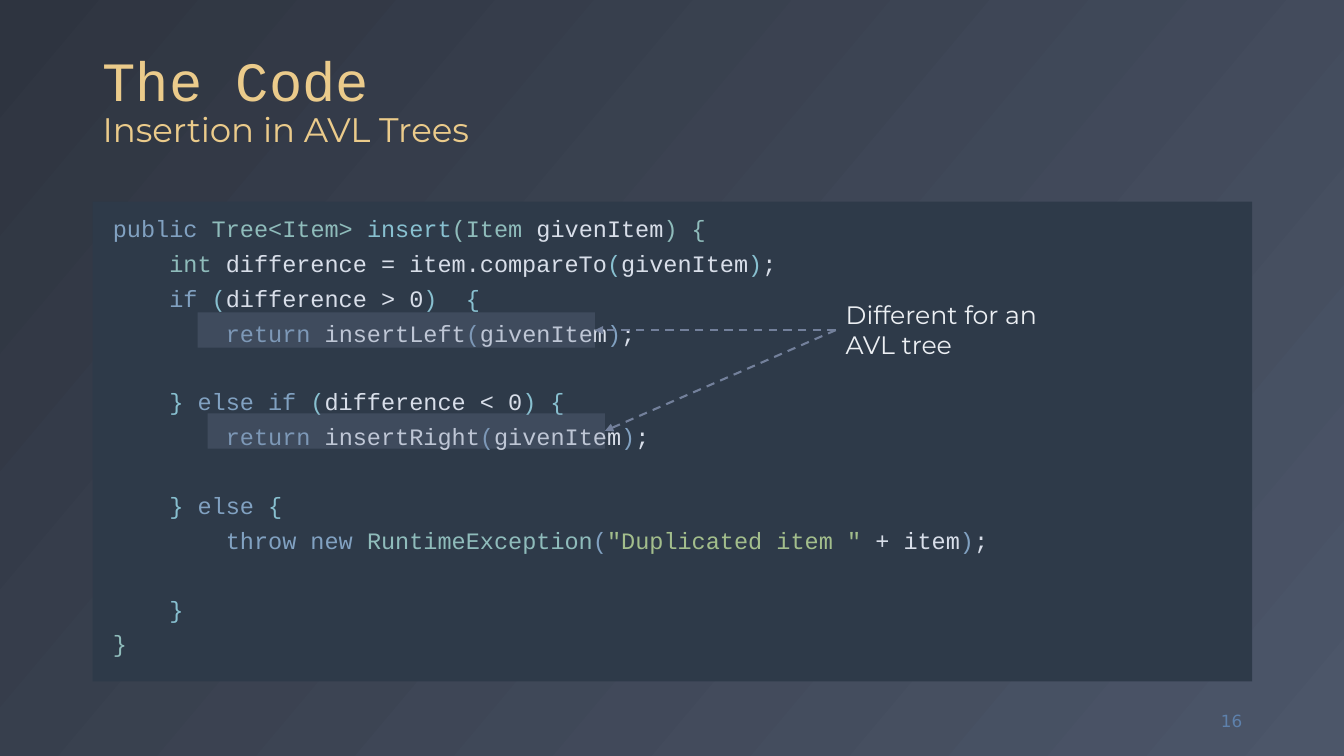
from collections import namedtuple
from lxml.etree import SubElement
from pptx import Presentation
from pptx.dml.color import RGBColor
from pptx.enum.dml import MSO_LINE
from pptx.enum.shapes import MSO_CONNECTOR, MSO_SHAPE
from pptx.enum.text import MSO_ANCHOR, PP_ALIGN
from pptx.oxml.ns import qn
from pptx.util import Inches, Pt

Box = namedtuple("Box", "left top width height")

NIGHT = RGBColor(0x2E, 0x34, 0x40)
SLATE = RGBColor(0x4C, 0x56, 0x69)
PANEL = RGBColor(0x2E, 0x3A, 0x49)
GOLD = RGBColor(0xEB, 0xCB, 0x8B)
MARK = RGBColor(0x73, 0x80, 0x9B)
WHITE = RGBColor(0xEC, 0xEF, 0xF3)
NUMBER = RGBColor(0x5E, 0x81, 0xAC)
KEYWORD = RGBColor(0x81, 0xA1, 0xC1)
TYPE = RGBColor(0x8F, 0xBC, 0xBB)
CALL = RGBColor(0x88, 0xC0, 0xD0)
PLAIN = RGBColor(0xD8, 0xDE, 0xE9)
STRING = RGBColor(0xA3, 0xBE, 0x8C)

MONO = "Courier New"
SANS = "Montserrat"
CODE_SIZE = 16.8
CODE_INDENT = 4 * 0.6 * CODE_SIZE
ROW = 1 / 3
ROW_POINTS = 24.15
CODE_GAP = 10.8

CODE = [
    (0, 0, [("public ", KEYWORD), ("Tree<Item> ", TYPE), ("insert", CALL), ("(Item ", TYPE),
            ("givenItem", PLAIN), (") {", TYPE)]),
    (1, 1, [("int ", TYPE), ("difference = item.compareTo", PLAIN), ("(", CALL),
            ("givenItem", PLAIN), (")", CALL), (";", PLAIN)]),
    (2, 1, [("if ", KEYWORD), ("(", CALL), ("difference > 0", PLAIN), (")  {", CALL)]),
    (3, 2, [("return ", KEYWORD), ("insertLeft", PLAIN), ("(", KEYWORD),
            ("givenItem", PLAIN), (")", KEYWORD), (";", PLAIN)]),
    (5, 1, [("} ", CALL), ("else if ", KEYWORD), ("(", CALL), ("difference < 0", PLAIN),
            (") {", CALL)]),
    (6, 2, [("return ", KEYWORD), ("insertRight", PLAIN), ("(", KEYWORD),
            ("givenItem", PLAIN), (")", KEYWORD), (";", PLAIN)]),
    (8, 1, [("} ", CALL), ("else ", KEYWORD), ("{", CALL)]),
    (9, 2, [("throw new ", KEYWORD), ("RuntimeException", TYPE), ("(", KEYWORD),
            ('"Duplicated item " ', STRING), ("+ item", PLAIN), (")", KEYWORD), (";", PLAIN)]),
    (11, 1, [("}", CALL)]),
    (12, 0, [("}", TYPE)]),
]


def inches(box):
    return [Inches(length) for length in box]


def write(paragraph, text, *, size, font, color, spacing=None, before=0, indent=0, align=None):
    run = paragraph.add_run()
    run.text = text
    run.font.size = Pt(size)
    run.font.name = font
    run.font.color.rgb = color
    paragraph.alignment = align or PP_ALIGN.LEFT
    paragraph.space_before = Pt(before)
    if spacing:
        paragraph.line_spacing = spacing
    if indent:
        paragraph._p.get_or_add_pPr().set("marL", str(Pt(indent)))


def text_frame(slide, box, anchor=MSO_ANCHOR.TOP):
    frame = slide.shapes.add_textbox(*inches(box)).text_frame
    frame.word_wrap = True
    frame.vertical_anchor = anchor
    return frame


def rectangle(slide, box, color, opacity=100):
    panel = slide.shapes.add_shape(MSO_SHAPE.RECTANGLE, *inches(box))
    panel.shadow.inherit = False
    panel.line.fill.background()
    panel.fill.solid()
    panel.fill.fore_color.rgb = color
    if opacity < 100:
        tint = panel.fill._xPr.find(qn("a:solidFill"))[0]
        SubElement(tint, qn("a:alpha")).set("val", str(opacity * 1000))
    return panel


def dashed_arrow(slide, start, end):
    arrow = slide.shapes.add_connector(MSO_CONNECTOR.STRAIGHT, *inches(start + end))
    arrow.line.color.rgb = MARK
    arrow.line.width = Pt(1.5)
    arrow.line.dash_style = MSO_LINE.DASH
    SubElement(arrow.line._get_or_add_ln(), qn("a:tailEnd")).set("type", "triangle")
    SubElement(arrow._element.spPr, qn("a:effectLst"))


def paint_background(slide):
    fill = slide.background.fill
    fill.gradient()
    fill.gradient_angle = 320
    for stop, color in zip(fill.gradient_stops, (NIGHT, SLATE)):
        stop.color.rgb = color


def add_heading(slide, box):
    frame = text_frame(slide, box, MSO_ANCHOR.BOTTOM)
    write(frame.paragraphs[0], "The Code", size=39.6, font=MONO, color=GOLD, spacing=0.9)
    write(frame.add_paragraph(), "Insertion in AVL Trees", size=24.3, font=SANS, color=GOLD,
          spacing=0.9)


def add_code(slide, box):
    frame = rectangle(slide, box, PANEL).text_frame
    frame.word_wrap = True
    frame.vertical_anchor = MSO_ANCHOR.TOP
    frame.margin_left = frame.margin_right = Inches(0.2)
    frame.margin_top = frame.margin_bottom = Inches(0.2)
    previous_row = 0
    for index, (row, depth, pieces) in enumerate(CODE):
        line = frame.add_paragraph() if index else frame.paragraphs[0]
        skipped = max(row - previous_row - 1, 0)
        for piece, color in pieces:
            write(line, piece, size=CODE_SIZE, font=MONO, color=color, spacing=0.7,
                  before=CODE_GAP + skipped * ROW_POINTS, indent=depth * CODE_INDENT)
        previous_row = row


def add_callout(slide, box):
    note = Box(box.left + 7.37, box.top + 0.92, 2.24, 0.71)
    write(text_frame(slide, note).paragraphs[0], "Different for an AVL tree",
          size=18, font=SANS, color=WHITE)
    source = (note.left, note.top + note.height / 2)
    for row, offset in ((3, 1.04), (6, 1.14)):
        mark = Box(box.left + offset, box.top + 0.1 + row * ROW, 3.94, 0.35)
        rectangle(slide, mark, MARK, opacity=25)
        dashed_arrow(slide, source, (mark.left + mark.width, mark.top + mark.height / 2))


def add_page_number(slide, box):
    frame = text_frame(slide, box, MSO_ANCHOR.MIDDLE)
    write(frame.paragraphs[0], "16", size=12, font="DejaVu Sans", color=NUMBER,
          align=PP_ALIGN.RIGHT)


def main():
    deck = Presentation()
    deck.slide_width, deck.slide_height = Inches(13.33), Inches(7.5)
    slide = deck.slides.add_slide(deck.slide_layouts[6])
    code_box = Box(0.92, 2, 11.5, 4.76)
    paint_background(slide)
    add_heading(slide, Box(0.92, 0.18, 11.5, 1.36))
    add_code(slide, code_box)
    add_callout(slide, code_box)
    add_page_number(slide, Box(11.59, 6.95, 0.83, 0.4))
    deck.save("out.pptx")


if __name__ == "__main__":
    main()
